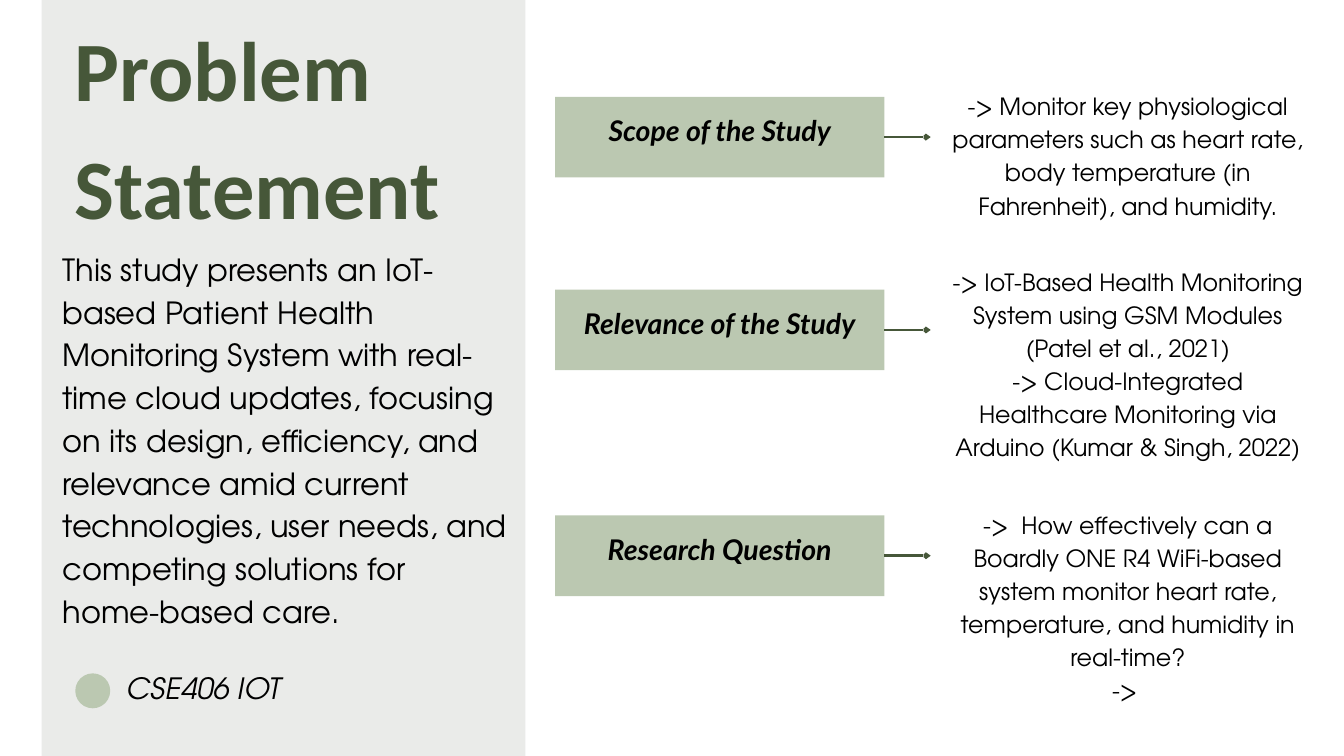
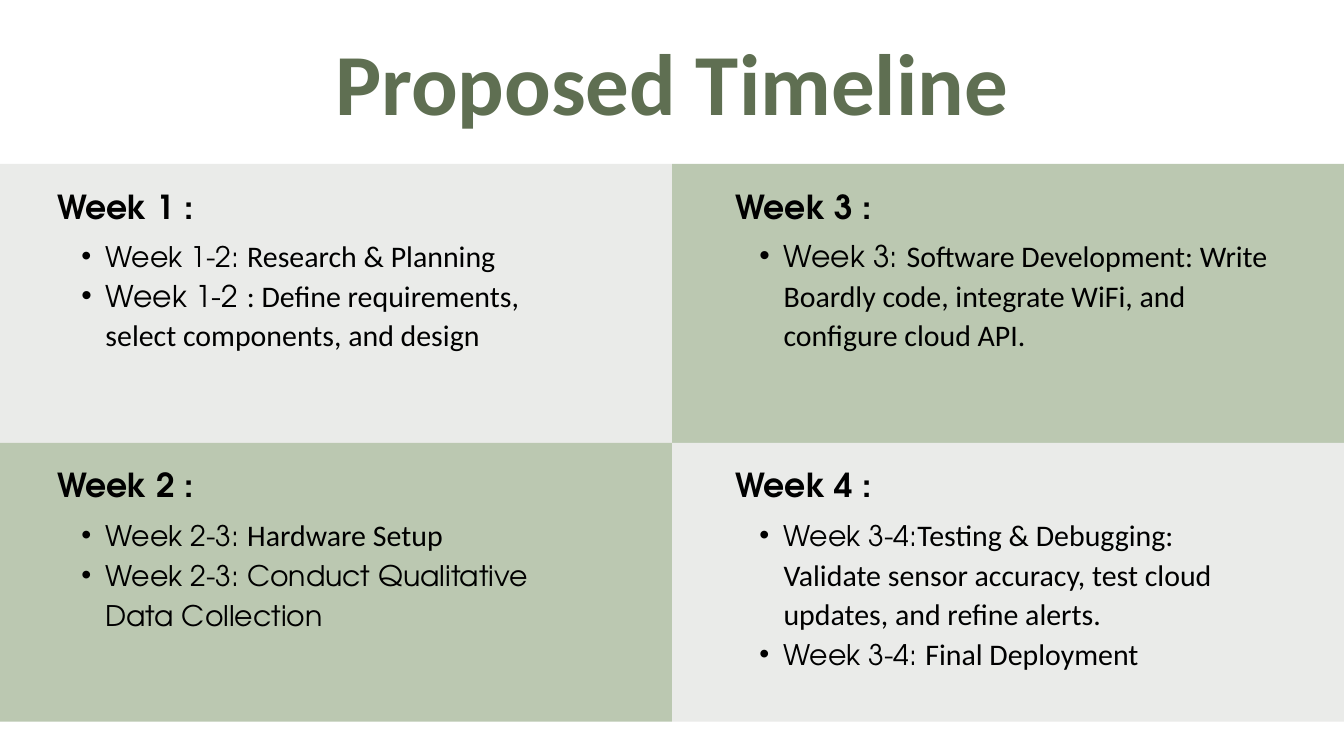
from lxml import etree
from pptx import Presentation
from pptx.dml.color import RGBColor
from pptx.enum.shapes import MSO_CONNECTOR, MSO_SHAPE
from pptx.enum.text import MSO_ANCHOR, PP_ALIGN
from pptx.oxml.ns import qn
from pptx.util import Inches, Pt

RECT, OVAL = MSO_SHAPE.RECTANGLE, MSO_SHAPE.OVAL
STRAIGHT = MSO_CONNECTOR.STRAIGHT
LEFT, CENTER = PP_ALIGN.LEFT, PP_ALIGN.CENTER
TOP, MIDDLE = MSO_ANCHOR.TOP, MSO_ANCHOR.MIDDLE

COLS, ROWS = 20, 11.25
UNIT = Inches(1)

BLACK = RGBColor(0x00, 0x00, 0x00)
FOREST = RGBColor(0x46, 0x57, 0x39)
MOSS = RGBColor(0x5F, 0x6F, 0x52)
SAGE = RGBColor(0xBB, 0xC8, 0xB1)
MIST = RGBColor(0xEA, 0xEB, 0xE9)

SANS, ROUND = "Calibri", "TeX Gyre Adventor"


def style(name, size, bold=False, italic=False):
    return {"name": name, "size": Pt(size), "bold": bold, "italic": italic}


SIDE_TITLE = style(SANS, 90.5, bold=True)
TOP_TITLE = style(SANS, 93.2, bold=True)
SUMMARY = style(ROUND, 32.7)
COURSE = style(ROUND, 31.4, italic=True)
LABEL = style("Lato", 30.5, bold=True, italic=True)
DETAIL = style(ROUND, 25.4)
WEEK = style(ROUND, 35.4, bold=True)
SPAN = style(ROUND, 30.4)
WIDE_SPAN = style(ROUND, 32)
TASK = style(SANS, 32)

TOPICS = [
    (1.44, "Scope of the Study", 1.3, 1.96,
     ["-> Monitor key physiological parameters such as heart rate, "
      "body temperature (in Fahrenheit), and humidity."]),
    (4.31, "Relevance of the Study", 3.91, 2.97,
     ["-> IoT-Based Health Monitoring System using GSM Modules "
      "(Patel et al., 2021)",
      "-> Cloud-Integrated Healthcare Monitoring via Arduino "
      "(Kumar & Singh, 2022)"]),
    (7.67, "Research Question", 7.53, 2.46,
     ["->  How effectively can an Boardly ONE R4 WiFi-based system monitor "
      "heart rate, temperature, and humidity in real-time?".replace("an B", "a B"),
      "-> "]),
]

WEEKS = [
    ("Week 1 :", [
        [("Week 1-2: ", SPAN), ("Research & Planning", TASK)],
        [("Week 1-2 ", WIDE_SPAN),
         (": Define requirements, select components, and design", TASK)]]),
    ("Week 2 :", [
        [("Week 2-3: ", SPAN), ("Hardware Setup", TASK)],
        [("Week 2-3: Conduct Qualitative Data Collection", SPAN)]]),
    ("Week 3 :", [
        [("Week 3: ", WIDE_SPAN),
         ("Software Development: Write Boardly code, integrate WiFi, "
          "and configure cloud API.", TASK)]]),
    ("Week 4 :", [
        [("Week 3-4:", SPAN),
         ("Testing & Debugging: Validate sensor accuracy, test cloud "
          "updates, and refine alerts.", TASK)],
        [("Week 3-4: ", SPAN), ("Final Deployment", TASK)]]),
]


def grid(*values):
    return [int(v * UNIT) for v in values]


def add_block(s, box, color, kind=RECT):
    sp = s.shapes.add_shape(kind, *grid(*box))
    sp.shadow.inherit = False
    sp.fill.solid()
    sp.fill.fore_color.rgb = color
    sp.line.fill.background()
    return sp


def add_bullet(p):
    pPr = p._p.get_or_add_pPr()
    pPr.set("marL", str(Inches(0.72)))
    pPr.set("indent", str(-Inches(0.36)))
    etree.SubElement(pPr, qn("a:buFont"), typeface="Arial")
    etree.SubElement(pPr, qn("a:buChar"), char="•")


def write(sp, paragraphs, spacing, color=BLACK, align=LEFT, anchor=TOP,
          margins=(0, 0, 0, 0), bullets=False):
    tf = sp.text_frame
    names = ("margin_left", "margin_top", "margin_right", "margin_bottom")
    frame = dict(zip(names, grid(*margins)), word_wrap=True,
                 vertical_anchor=anchor)
    for key, value in frame.items():
        setattr(tf, key, value)
    for i, runs in enumerate(paragraphs):
        p = tf.add_paragraph() if i else tf.paragraphs[0]
        if bullets:
            add_bullet(p)
        p.alignment = align
        p.line_spacing = Pt(spacing)
        for text, font in runs:
            r = p.add_run()
            r.text = text
            for key, value in font.items():
                setattr(r.font, key, value)
            r.font.color.rgb = color


def add_text(s, box, paragraphs, spacing, **options):
    write(s.shapes.add_textbox(*grid(*box)), paragraphs, spacing, **options)


def add_arrow(s, left, right, y):
    line = s.shapes.add_connector(STRAIGHT, *grid(left, y, right, y))
    line.line.color.rgb = FOREST
    line.line.width = Pt(3)
    etree.SubElement(line.line._get_or_add_ln(), qn("a:tailEnd"), type="arrow",
                     w="sm", len="sm")
    etree.SubElement(line._element.spPr, qn("a:effectLst"))


def add_topic(s, y, label, detail_y, detail_height, details):
    left, width, height = 8.26, 4.9, 1.2
    sp = add_block(s, (left, y, width, height), SAGE)
    write(sp, [[(label, LABEL)]], 42.7, align=CENTER, anchor=MIDDLE,
          margins=(0.06, 0.06, 0.06, 0.34))
    add_arrow(s, left + width, 13.85, y + height / 2)
    add_text(s, (14.07, detail_y, 5.43, detail_height),
             [[(text, DETAIL)] for text in details], 35.5, align=CENTER)


def add_week(s, index, heading, tasks):
    col, row = divmod(index, 2)
    bleed, half, height = 0.75, COLS / 2, 4.15
    y = 2.44 + row * height
    add_block(s, (col * half - bleed * (1 - col), y, half + bleed, height),
              MIST if col == row else SAGE)
    x = 0.85 + col * 10.09
    add_text(s, (x, y + 0.23, 5.83, 0.61), [[(heading, WEEK)]], 49.5)
    add_text(s, (x, y + 1.04, 7.93, 0.59 * (len(tasks) + 1)), tasks, 42.5,
             bullets=True)


def build_problem(s):
    add_block(s, (0.62, 0, 7.2, ROWS), MIST)
    add_text(s, (1.11, 0, 6.69, 3.45), [[("Problem Statement", SIDE_TITLE)]],
             126.7, color=FOREST)
    add_text(s, (0.93, 3.64, 6.67, 5.08), [[(
        "This study presents an IoT-based Patient Health Monitoring System "
        "with real-time cloud updates, focusing on its design, efficiency, "
        "and relevance amid current technologies, user needs, and competing "
        "solutions for home-based care.", SUMMARY)]], 45.8)
    add_block(s, (1.12, 10.02, 0.52, 0.52), SAGE, OVAL)
    add_text(s, (1.89, 9.89, 5, 0.54), [[("CSE406 IOT", COURSE)]], 44)
    for topic in TOPICS:
        add_topic(s, *topic)


def build_timeline(s):
    add_text(s, (2.63, 0.16, 14.74, 1.75), [[("Proposed Timeline", TOP_TITLE)]],
             130.5, color=MOSS, align=CENTER)
    for index, (heading, tasks) in enumerate(WEEKS):
        add_week(s, index, heading, tasks)


def main():
    prs = Presentation()
    prs.slide_width, prs.slide_height = grid(COLS, ROWS)
    blank = prs.slide_layouts[6]
    for build in (build_problem, build_timeline):
        build(prs.slides.add_slide(blank))
    prs.save("out.pptx")


if __name__ == "__main__":
    main()
